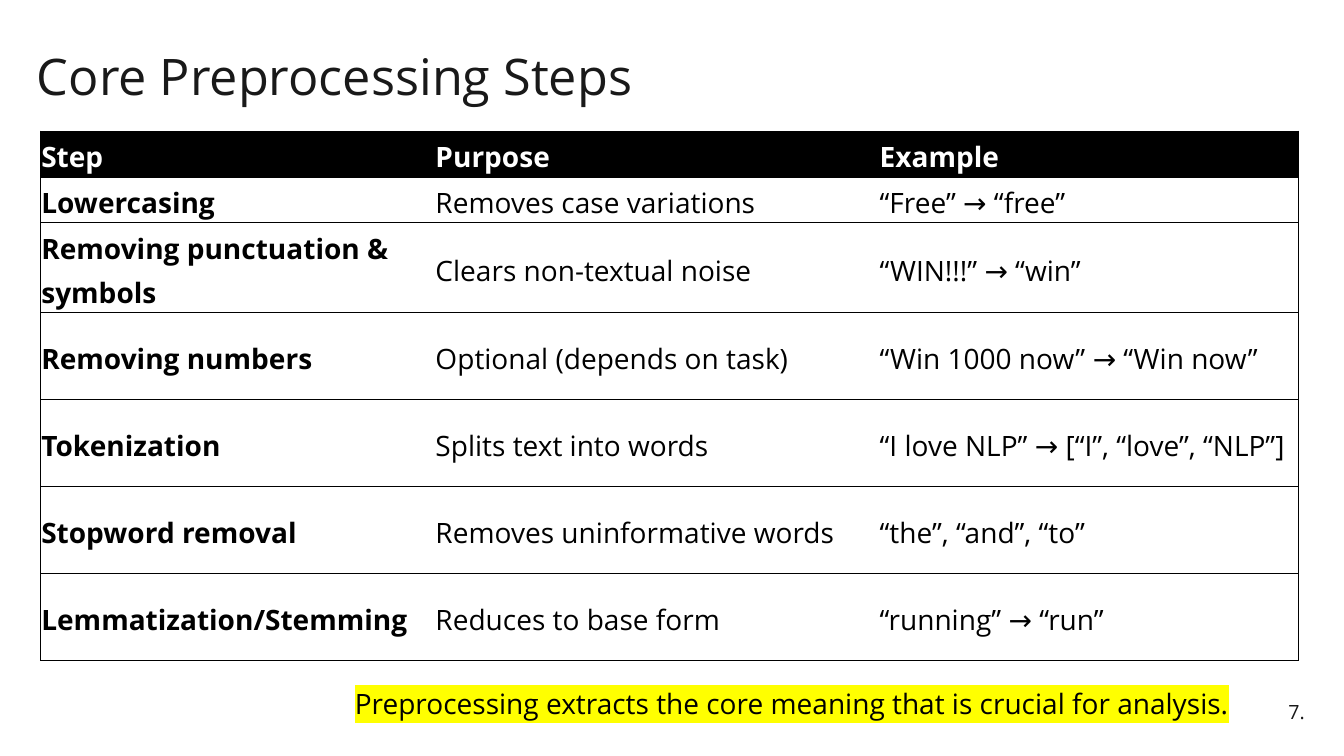
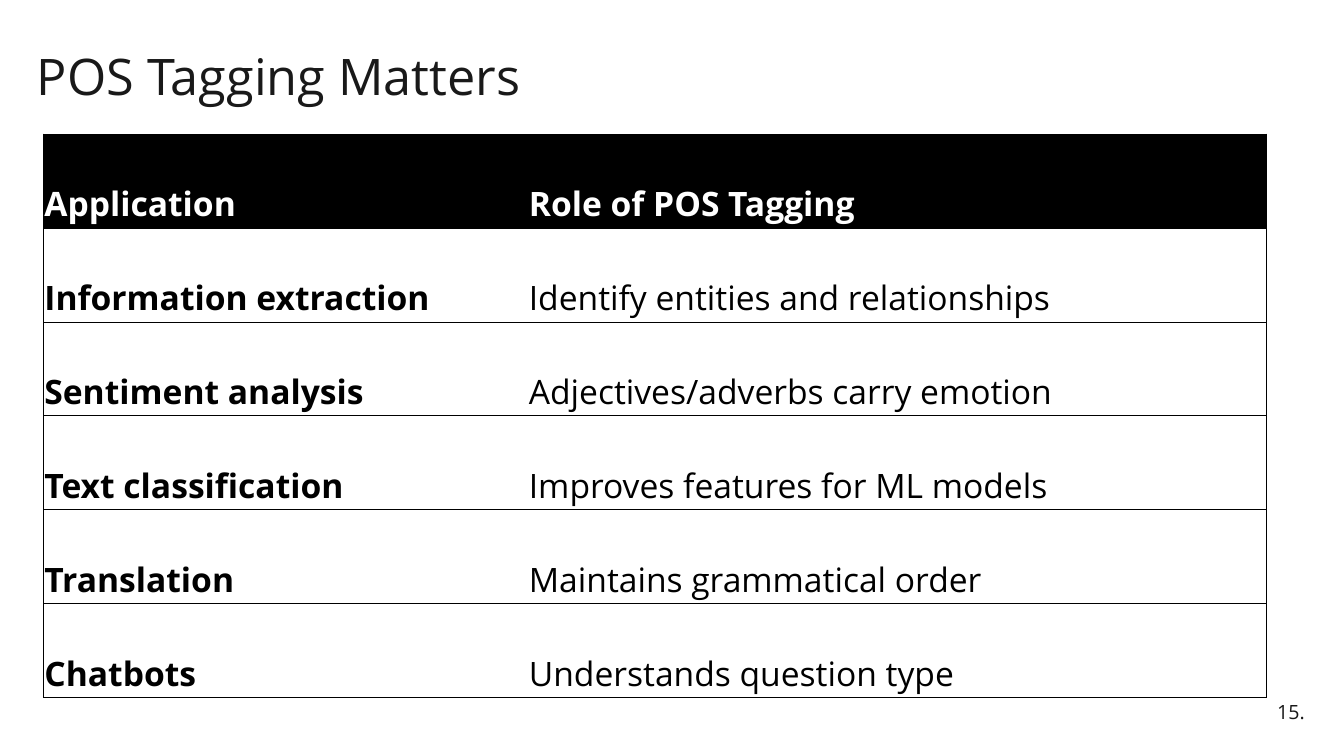
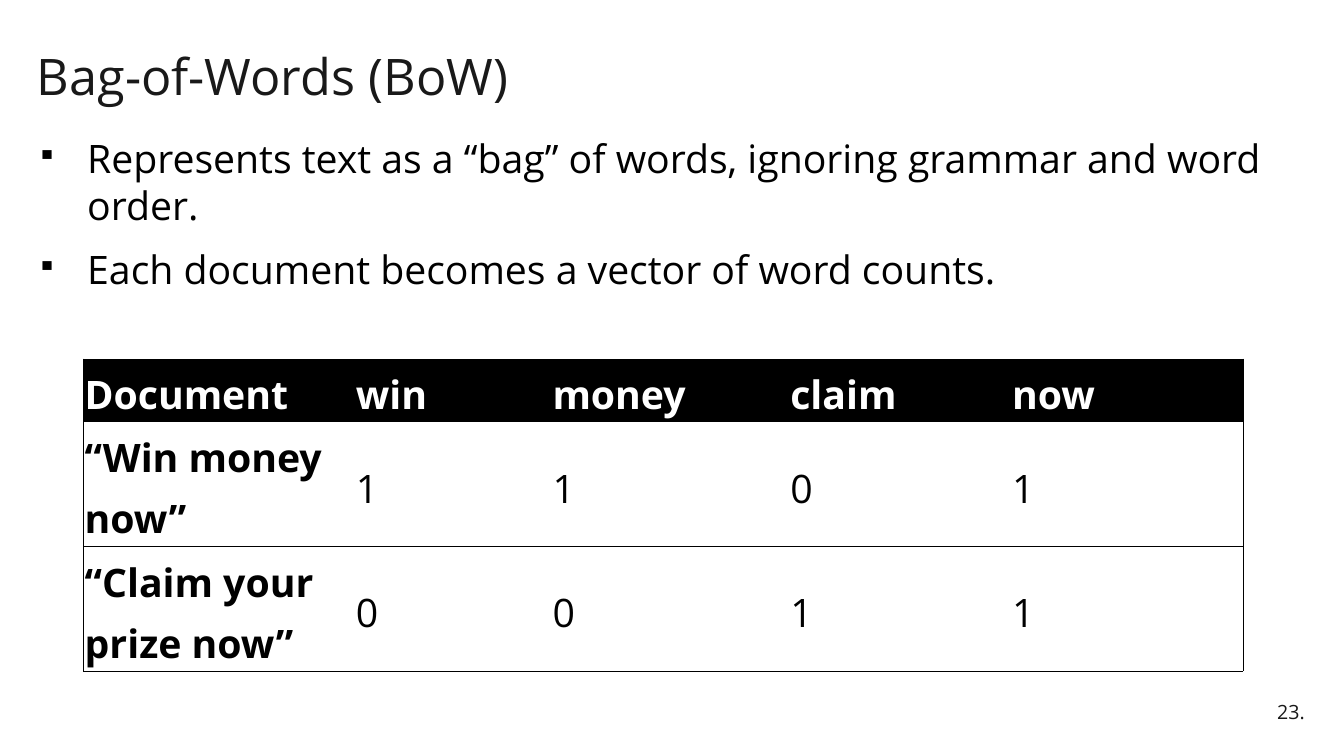
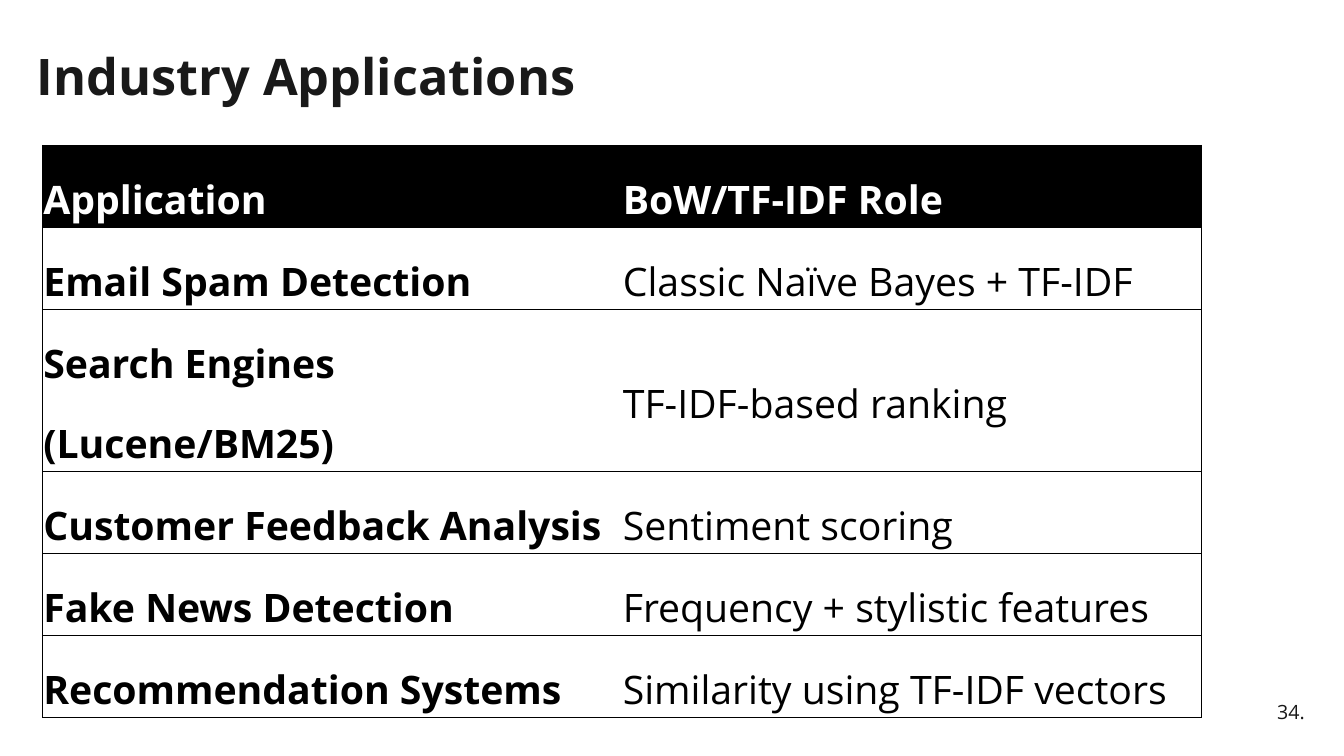
from dataclasses import dataclass

from lxml import etree
from pptx import Presentation
from pptx import util as u
from pptx.dml.color import RGBColor
from pptx.enum import text
from pptx.oxml.ns import qn

WIDE, HIGH = u.Inches(13.33), u.Inches(7.5)
INK = RGBColor(0x19, 0x19, 0x19)
BLACK = RGBColor(0, 0, 0)
WHITE = RGBColor(255, 255, 255)
GLOW = RGBColor(255, 255, 0)
FACE = "Open Sans"
RULE = u.Pt(0.5)
PAD = u.Inches(0.01)
DENT = u.Inches(0.5)
TIGHT = {"line_spacing": 0.9}
NOTED = {**TIGHT, "space_after": u.Pt(6)}


@dataclass(frozen=True)
class Box:
    left: float
    top: float
    wide: float
    high: float

    def place(self) -> tuple[int, int, int, int]:
        return across(self.left), down(self.top), across(self.wide), down(self.high)


@dataclass(frozen=True)
class Grid:
    left: float
    top: float
    cols: tuple[float, ...]
    rows: tuple[float, ...]
    size: int
    lead: float
    cells: tuple[tuple[str, ...], ...]


@dataclass(frozen=True)
class Page:
    title: str
    number: int
    grid: Grid
    bold: bool = False
    points: tuple[str, ...] = ()
    note: str = ""


TITLE = Box(2, 6.26, 93.7, 8.67)
NUMBER = Box(87.17, 91.6, 10.65, 5.33)
BODY = Box(2, 17.1, 93.7, 26)
NOTE = Box(25.66, 90.67, 68, 6.53)

PAGES = (
    Page(
        "Core Preprocessing Steps", 7,
        Grid(3, 17.33, (29.33, 33.05, 31.2), (6.07, 6.07, 11.87) + (11.51,) * 4, 20, 1.15, (
            ("Step", "Purpose", "Example"),
            ("Lowercasing", "Removes case variations", "“Free” → “free”"),
            ("Removing punctuation & symbols", "Clears non-textual noise", "“WIN!!!” → “win”"),
            ("Removing numbers", "Optional (depends on task)", "“Win 1000 now” → “Win now”"),
            ("Tokenization", "Splits text into words", "“I love NLP” → [“I”, “love”, “NLP”]"),
            ("Stopword removal", "Removes uninformative words", "“the”, “and”, “to”"),
            ("Lemmatization/Stemming", "Reduces to base form", "“running” → “run”"),
        )),
        note="Preprocessing extracts the core meaning that is crucial for analysis.",
    ),
    Page(
        "POS Tagging Matters", 15,
        Grid(3.23, 17.73, (36.05, 54.91), (12.42,) * 6, 24, 2.0, (
            ("Application", "Role of POS Tagging"),
            ("Information extraction", "Identify entities and relationships"),
            ("Sentiment analysis", "Adjectives/adverbs carry emotion"),
            ("Text classification", "Improves features for ML models"),
            ("Translation", "Maintains grammatical order"),
            ("Chatbots", "Understands question type"),
        )),
    ),
    Page(
        "Bag-of-Words (BoW)", 23,
        Grid(6.23, 47.47, (20.18, 14.63, 17.7, 16.5, 17.25), (8.3, 16.5, 16.5), 28, 1.15, (
            ("Document", "win", "money", "claim", "now"),
            ("“Win money now”", "1", "1", "0", "1"),
            ("“Claim your prize now”", "0", "0", "1", "1"),
        )),
        points=(
            "Represents text as a “bag” of words, ignoring grammar and word order.",
            "Each document becomes a vector of word counts.",
        ),
    ),
    Page(
        "Industry Applications", 34,
        Grid(3.15, 19.2, (43.12,) * 2, (10.85,) * 2 + (21.45,) + (10.85,) * 3, 28, 1.5, (
            ("Application", "BoW/TF-IDF Role"),
            ("Email Spam Detection", "Classic Naïve Bayes + TF-IDF"),
            ("Search Engines (Lucene/BM25)", "TF-IDF-based ranking"),
            ("Customer Feedback Analysis", "Sentiment scoring"),
            ("Fake News Detection", "Frequency + stylistic features"),
            ("Recommendation Systems", "Similarity using TF-IDF vectors"),
        )),
        bold=True,
    ),
)


def across(share: float) -> int:
    return round(WIDE * share / 100)


def down(share: float) -> int:
    return round(HIGH * share / 100)


def apply(thing, form: dict) -> None:
    for name, value in form.items():
        setattr(thing, name, value)


def write(para, words: str, size: int, tint: RGBColor, form: dict, bold: bool = False):
    apply(para, form)
    run = para.add_run()
    run.text = words
    apply(run.font, {"name": FACE, "size": u.Pt(size), "bold": bold})
    run.font.color.rgb = tint
    return run


def add_box(slide, box: Box, anchor=text.MSO_ANCHOR.TOP):
    frame = slide.shapes.add_textbox(*box.place()).text_frame
    apply(frame, {"word_wrap": True, "vertical_anchor": anchor})
    return frame


def add_points(slide, points: tuple[str, ...]) -> None:
    frame = add_box(slide, BODY)
    for at, words in enumerate(points):
        para = frame.add_paragraph() if at else frame.paragraphs[0]
        props = para._p.get_or_add_pPr()
        props.set("marL", str(DENT))
        props.set("indent", str(-DENT))
        etree.SubElement(props, qn("a:buSzPct"), val="70000")
        etree.SubElement(props, qn("a:buChar"), char="▪")
        write(para, words, 28, BLACK, {"space_before": u.Pt(12 if at else 0)})


def add_note(slide, words: str) -> None:
    run = write(add_box(slide, NOTE).paragraphs[0], words, 20, BLACK, NOTED)
    glow = etree.Element(qn("a:highlight"))
    etree.SubElement(glow, qn("a:srgbClr"), val=str(GLOW))
    run._r.rPr.find(qn("a:solidFill")).addnext(glow)


def add_rules(cell, sides: dict[str, bool]) -> None:
    props = cell._tc.get_or_add_tcPr()
    for at, (side, shown) in enumerate(sides.items()):
        line = etree.Element(qn(f"a:ln{side}"), w=str(RULE))
        props.insert(at, line)
        if shown:
            fill = etree.SubElement(line, qn("a:solidFill"))
            etree.SubElement(fill, qn("a:srgbClr"), val=str(BLACK))
        else:
            etree.SubElement(line, qn("a:noFill"))


def add_grid(slide, grid: Grid) -> None:
    box = Box(grid.left, grid.top, sum(grid.cols), sum(grid.rows))
    table = slide.shapes.add_table(len(grid.rows), len(grid.cols), *box.place()).table
    for col, share in zip(table.columns, grid.cols):
        col.width = across(share)
    for row, share in zip(table.rows, grid.rows):
        row.height = down(share)
    form = {f"margin_{side}": PAD for side in ("left", "right", "top", "bottom")}
    form["vertical_anchor"] = text.MSO_ANCHOR.MIDDLE
    last = len(grid.cols) - 1
    for y, line in enumerate(grid.cells):
        head = y == 0
        for x, words in enumerate(line):
            cell = table.cell(y, x)
            apply(cell, form)
            if head:
                cell.fill.solid()
                cell.fill.fore_color.rgb = BLACK
            else:
                cell.fill.background()
            add_rules(cell, {"L": x == 0, "R": x == last, "T": True, "B": True})
            write(cell.text_frame.paragraphs[0], words, grid.size, WHITE if head else BLACK,
                  {"line_spacing": grid.lead, "space_after": u.Pt(8)}, head or x == 0)


def add_page(deck, page: Page) -> None:
    slide = deck.slides.add_slide(deck.slide_layouts[6])
    write(add_box(slide, TITLE).paragraphs[0], page.title, 36, INK, TIGHT, page.bold)
    number = add_box(slide, NUMBER, text.MSO_ANCHOR.MIDDLE).paragraphs[0]
    write(number, f"{page.number}.", 14, INK, {**NOTED, "alignment": text.PP_ALIGN.RIGHT})
    if page.points:
        add_points(slide, page.points)
    add_grid(slide, page.grid)
    if page.note:
        add_note(slide, page.note)


def main() -> None:
    deck = Presentation()
    apply(deck, {"slide_width": WIDE, "slide_height": HIGH})
    for page in PAGES:
        add_page(deck, page)
    deck.save("out.pptx")


if __name__ == "__main__":
    main()
